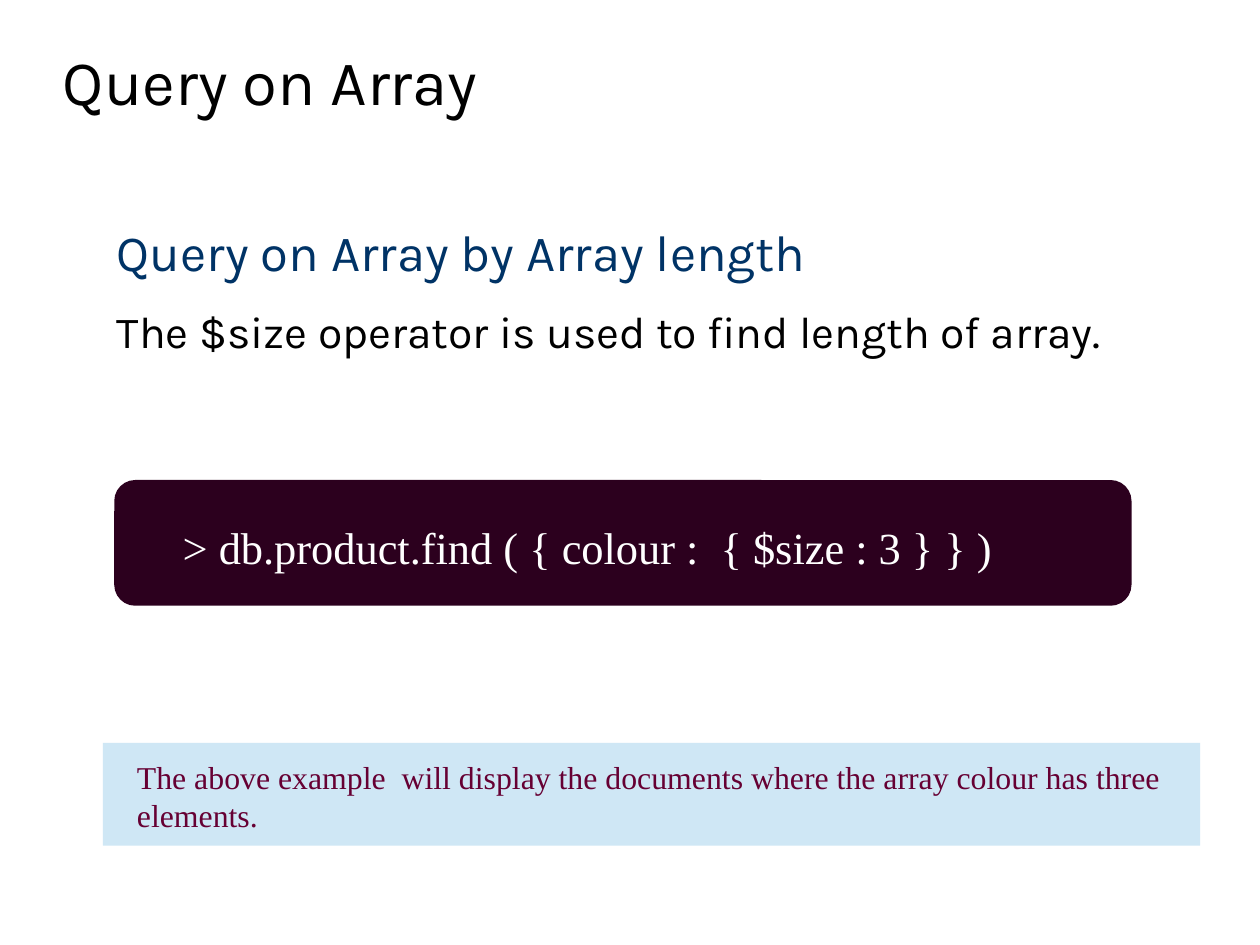
from lxml.etree import SubElement
from pptx import Presentation
from pptx.dml.color import RGBColor
from pptx.enum.shapes import MSO_SHAPE as SHAPE
from pptx.enum.text import MSO_ANCHOR as ANCHOR, MSO_AUTO_SIZE as AUTO, PP_ALIGN as ALIGN
from pptx.oxml.ns import qn
from pptx.util import Pt

COLORS = {
    "black": "000000",
    "navy": "003366",
    "note_fill": "CFE7F5",
    "note_text": "660033",
    "code_fill": "2C001E",
    "white": "FFFFFF",
}
HEADING_FONT = "Karla"
TEXT_FONT = "Times New Roman"


def rgb(name):
    return RGBColor.from_string(COLORS[name])


def place(sp, left, top, width, height):
    sp.left, sp.top, sp.width, sp.height = Pt(left), Pt(top), Pt(width), Pt(height)


def add_run(p, text, font, size, color):
    r = p.add_run()
    r.text = text
    r.font.name = font
    r.font.size = Pt(size)
    r.font.color.rgb = rgb(color)


def prepare_frame(sp, anchor):
    """Give a placeholder zero insets, wrapping and a fixed text size."""
    tf = sp.text_frame
    tf.margin_left = tf.margin_top = tf.margin_right = tf.margin_bottom = 0
    tf.word_wrap = True
    tf.auto_size = AUTO.NONE
    tf.vertical_anchor = anchor
    return tf


def fill_title(sp, text):
    place(sp, 39.6, 0.72, 714.24, 99.36)
    p = prepare_frame(sp, ANCHOR.MIDDLE).paragraphs[0]
    p.alignment = ALIGN.LEFT
    add_run(p, text, HEADING_FONT, 40, "black")


def fill_body(sp, lines):
    place(sp, 39.6, 138.96, 714.24, 345.6)
    tf = prepare_frame(sp, ANCHOR.TOP)
    for i, (text, size, color) in enumerate(lines):
        p = tf.add_paragraph() if i else tf.paragraphs[0]
        pPr = p._p.get_or_add_pPr()
        pPr.set("marL", str(Pt(34)))
        pPr.set("indent", "0")
        SubElement(pPr, qn("a:buNone"))
        p.space_before = Pt(0)
        p.space_after = Pt(14.2)
        add_run(p, text, HEADING_FONT, size, color)


def add_panel(s, kind, box, color):
    sp = s.shapes.add_shape(kind, *map(Pt, box))
    sp.shadow.inherit = False
    sp.fill.solid()
    sp.fill.fore_color.rgb = rgb(color)
    sp.line.fill.background()


def add_text(s, box, text, size, color):
    tf = s.shapes.add_textbox(*map(Pt, box)).text_frame
    tf.word_wrap = True
    tf.auto_size = AUTO.SHAPE_TO_FIT_TEXT
    add_run(tf.paragraphs[0], text, TEXT_FONT, size, color)


def main():
    prs = Presentation()
    prs.slide_width, prs.slide_height = Pt(793.7), Pt(595.28)
    s = prs.slides.add_slide(prs.slide_layouts[1])

    fill_title(s.shapes.title, "Query on Array")
    fill_body(s.placeholders[1], [
        ("Query on Array by Array length", 32, "navy"),
        ("The $size operator is used to find length of array.", 28, "black"),
    ])

    add_panel(s, SHAPE.RECTANGLE, (64.8, 468, 691.2, 64.8), "note_fill")
    add_text(s, (79.2, 473.76, 662.4, 51.84),
             "The above example  will display the documents where "
             "the array colour has three elements.", 20, "note_text")

    add_panel(s, SHAPE.ROUNDED_RECTANGLE, (72, 302.4, 640.8, 79.2), "code_fill")
    add_text(s, (108, 324, 576, 38.16),
             "> db.product.find ( { colour :  { $size : 3 } } )", 28, "white")

    prs.save("out.pptx")


if __name__ == "__main__":
    main()
